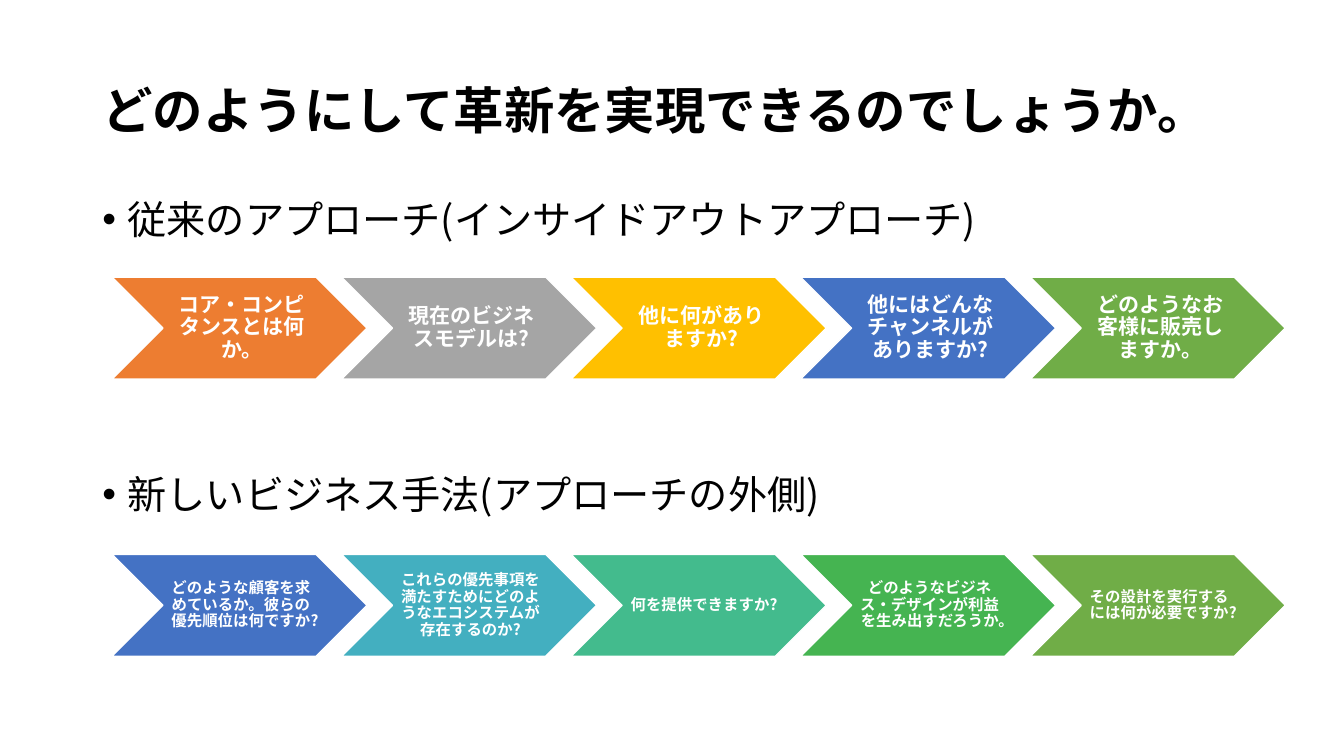
from pptx import Presentation
from pptx.dml.color import RGBColor
from pptx.enum.shapes import MSO_SHAPE as Shape
from pptx.enum.text import MSO_ANCHOR as Anchor, MSO_AUTO_SIZE as AutoSize, PP_ALIGN as Align
from pptx.oxml.ns import qn
from pptx.util import Pt
from lxml import etree

FONT = "Noto Sans CJK JP"
BLACK, WHITE = "000000", "FFFFFF"

CHEVRON_LEFT, CHEVRON_WIDTH, CHEVRON_HEIGHT = 80, 182.2, 72.8
CHEVRON_STEP = 0.9 * CHEVRON_WIDTH

TITLE = "どのようにして革新を実現できるのでしょうか。"
BULLETS = [
    ("従来のアプローチ(インサイドアウトアプローチ)", 0),
    ("新しいビジネス手法(アプローチの外側)", 166),
]
TRADITIONAL_STEPS = [
    ("コア・コンピタンスとは何か。", "ED7D31"),
    ("現在のビジネスモデルは?", "A5A5A5"),
    ("他に何がありますか?", "FFC000"),
    ("他にはどんなチャンネルがありますか?", "4472C4"),
    ("どのようなお客様に販売しますか。", "70AD47"),
]
NEW_STEPS = [
    ("どのような顧客を求めているか。彼らの優先順位は何ですか?", "4472C4"),
    ("これらの優先事項を満たすためにどのようなエコシステムが存在するのか?", "43AFC0"),
    ("何を提供できますか?", "43BB8D"),
    ("どのようなビジネス・デザインが利益を生み出すだろうか。", "45B451"),
    ("その設計を実行するには何が必要ですか?", "70AD47"),
]


def paint(color_format, color):
    color_format.rgb = RGBColor.from_string(color)


def format_para(para, size, color, bold, align):
    para.alignment = align
    para.line_spacing = 0.9
    font = para.font
    font.name, font.size, font.bold = FONT, Pt(size), bold
    font.fill.solid()
    paint(font.fill.fore_color, color)
    # Japanese glyphs take the East Asian typeface
    properties = para._p.pPr.find(qn("a:defRPr"))
    etree.SubElement(properties, qn("a:ea"), typeface=FONT)


def place(shape, left, top, width, height):
    shape.left, shape.top = Pt(left), Pt(top)
    shape.width, shape.height = Pt(width), Pt(height)


def add_title(page):
    title = page.shapes.title
    place(title, 66, 28.8, 828, 104.4)
    frame = title.text_frame
    frame.text = TITLE
    frame.auto_size = AutoSize.NONE
    frame.vertical_anchor = Anchor.MIDDLE
    format_para(frame.paragraphs[0], 36, BLACK, True, Align.LEFT)


def add_bullets(page):
    body = page.placeholders[1]
    place(body, 66, 139.7, 828, 342.7)
    frame = body.text_frame
    frame.text = "\n".join(text for text, _ in BULLETS)
    frame.auto_size = AutoSize.NONE
    frame.vertical_anchor = Anchor.TOP
    for para, (_, space_before) in zip(frame.paragraphs, BULLETS):
        properties = para._p.get_or_add_pPr()
        properties.set("marL", str(Pt(18)))
        properties.set("indent", str(Pt(-18)))
        etree.SubElement(properties, qn("a:buFont"), typeface="Arial")
        etree.SubElement(properties, qn("a:buChar"), char="•")
        para.space_before = Pt(space_before)
        format_para(para, 28, BLACK, False, Align.LEFT)


def add_chevron(page, left, top, text, color, size, inset):
    chevron = page.shapes.add_shape(
        Shape.CHEVRON, Pt(left), Pt(top), Pt(CHEVRON_WIDTH), Pt(CHEVRON_HEIGHT))
    chevron.shadow.inherit = False
    chevron.fill.solid()
    paint(chevron.fill.fore_color, color)
    paint(chevron.line.color, WHITE)
    chevron.line.width = Pt(1)
    frame = chevron.text_frame
    frame.word_wrap = True
    frame.vertical_anchor = Anchor.MIDDLE
    frame.margin_left = Pt(inset)
    frame.margin_top = frame.margin_right = frame.margin_bottom = Pt(1.5)
    frame.text = text
    format_para(frame.paragraphs[0], size, WHITE, True, Align.CENTER)


def add_process(page, top, steps, size, inset):
    for index, (text, color) in enumerate(steps):
        left = CHEVRON_LEFT + index * CHEVRON_STEP
        add_chevron(page, left, top, text, color, size, inset)


def main():
    deck = Presentation()
    deck.slide_width, deck.slide_height = Pt(960), Pt(540)
    page = deck.slides.add_slide(deck.slide_layouts[1])

    # Heading and the two approaches
    add_title(page)
    add_bullets(page)

    # Process under each approach
    add_process(page, 198, TRADITIONAL_STEPS, 15, 5)
    add_process(page, 396, NEW_STEPS, 11, 3.6)

    deck.save("out.pptx")


if __name__ == "__main__":
    main()
